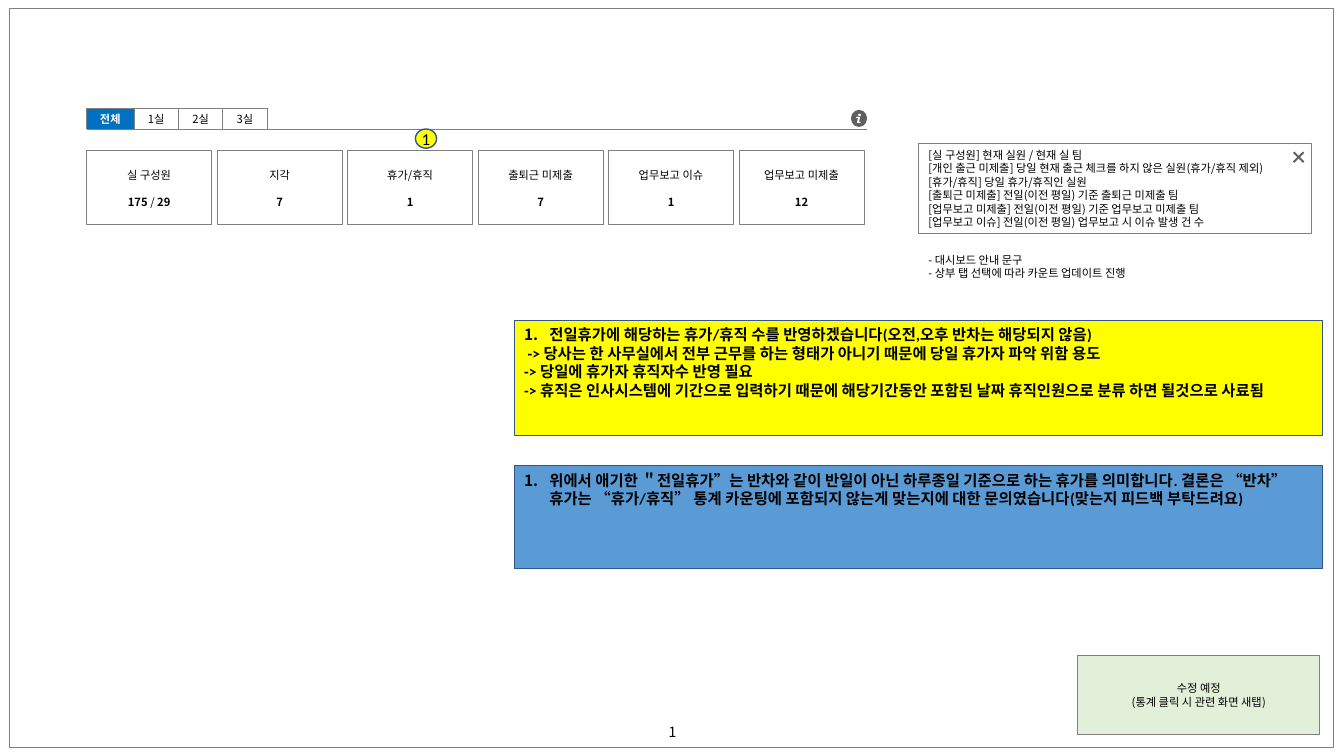
from dataclasses import dataclass
from typing import Optional

from lxml.etree import SubElement
from pptx import Presentation
from pptx.dml.color import RGBColor
from pptx.enum.shapes import MSO_CONNECTOR, MSO_SHAPE
from pptx.enum.text import MSO_ANCHOR, PP_ALIGN
from pptx.oxml.ns import qn
from pptx.util import Inches, Pt

COLORS = {
    "black": "000000", "white": "FFFFFF", "gray": "808080", "icon": "5F5F5F",
    "tab": "0070C0", "yellow": "FFFF00", "blue": "5B9BD5",
    "green": "E2F0D9", "navy": "325491",
}
KOREAN, LATIN = "Noto Sans CJK KR", "Calibri"


@dataclass
class Box:
    left: float
    top: float
    width: float
    height: float
    fill: Optional[str] = "white"
    line: Optional[str] = "gray"
    weight: float = 0.5
    kind: MSO_SHAPE = MSO_SHAPE.RECTANGLE


@dataclass
class TextStyle:
    size: float = 8
    font: str = KOREAN
    color: str = "black"
    bold: bool = False
    align: PP_ALIGN = PP_ALIGN.CENTER
    anchor: MSO_ANCHOR = MSO_ANCHOR.MIDDLE


@dataclass
class Tab:
    label: str
    width: float = 0.44
    fill: str = "white"
    color: str = "black"
    bold: bool = False


def rgb(name: str) -> RGBColor:
    return RGBColor.from_string(COLORS[name])


def paint(sp, fill: Optional[str], line: Optional[str], weight: float = 0.5) -> None:
    sp.shadow.inherit = False
    if fill:
        sp.fill.solid()
        sp.fill.fore_color.rgb = rgb(fill)
    else:
        sp.fill.background()
    if line:
        sp.line.color.rgb = rgb(line)
        sp.line.width = Pt(weight)
    else:
        sp.line.fill.background()


def draw_box(s, box: Box):
    sp = s.shapes.add_shape(box.kind, Inches(box.left), Inches(box.top),
                            Inches(box.width), Inches(box.height))
    paint(sp, box.fill, box.line, box.weight)
    return sp


def draw_outline(s, points: list, closed: bool):
    corners = [(Inches(x), Inches(y)) for x, y in points]
    builder = s.shapes.build_freeform(*corners[0], scale=1.0)
    builder.add_line_segments(corners[1:], close=closed)
    return builder.convert_to_shape()


def format_run(r, style: TextStyle, bold: bool) -> None:
    r.font.size = Pt(style.size)
    r.font.name = style.font
    r.font.bold = bold
    r.font.color.rgb = rgb(style.color)
    SubElement(r.font._element, qn("a:ea")).set("typeface", KOREAN)


def write(sp, lines: list[str], style: TextStyle):
    tf = sp.text_frame
    tf.word_wrap = True
    tf.vertical_anchor = style.anchor
    tf.text = "\n".join(lines)
    for p in tf.paragraphs:
        p.alignment = style.align
        p.line_spacing = Pt(style.size * 1.2)
        for r in p.runs:
            format_run(r, style, style.bold)
    return tf


def number(p) -> None:
    props = p._p.get_or_add_pPr()
    props.set("marL", str(Inches(0.25)))
    props.set("indent", str(-Inches(0.25)))
    SubElement(props, qn("a:buFont")).set("typeface", LATIN)
    SubElement(props, qn("a:buAutoNum")).set("type", "arabicPeriod")


CENTERED = TextStyle()
CARD = TextStyle(anchor=MSO_ANCHOR.TOP)
GUIDE = TextStyle(align=PP_ALIGN.LEFT, anchor=MSO_ANCHOR.TOP)
COMMENT = TextStyle(11, LATIN, bold=True, align=PP_ALIGN.LEFT, anchor=MSO_ANCHOR.TOP)

TABS = [Tab("전체", 0.47, "tab", "white", True), Tab("1실"), Tab("2실"), Tab("3실")]
CARDS = [
    ("실 구성원", ["175 ", "/", " 29"]), ("지각", ["7"]), ("휴가/휴직", ["1"]),
    ("출퇴근 미제출", ["7"]), ("업무보고 이슈", ["1"]), ("업무보고 미제출", ["12"]),
]
GUIDE_LINES = [
    "[실 구성원] 현재 실원 / 현재 실 팀",
    "[개인 출근 미제출] 당일 현재 출근 체크를 하지 않은 실원(휴가/휴직 제외)",
    "[휴가/휴직] 당일 휴가/휴직인 실원",
    "[출퇴근 미제출] 전일(이전 평일) 기준 출퇴근 미제출 팀",
    "[업무보고 미제출] 전일(이전 평일) 기준 업무보고 미제출 팀",
    "[업무보고 이슈] 전일(이전 평일) 업무보고 시 이슈 발생 건 수",
]
COMMENTS = [
    (Box(5.1, 3.18, 8.02, 1.14, "yellow", "navy", 1), [
        "전일휴가에 해당하는 휴가/휴직 수를 반영하겠습니다(오전,오후 반차는 해당되지 않음)",
        " -> 당사는 한 사무실에서 전부 근무를 하는 형태가 아니기 때문에 당일 휴가자 파악 위함 용도",
        "-> 당일에 휴가자 휴직자수 반영 필요",
        "-> 휴직은 인사시스템에 기간으로 입력하기 때문에 해당기간동안 포함된 날짜 "
        "휴직인원으로 분류 하면 될것으로 사료됨",
    ]),
    (Box(5.1, 4.62, 8.02, 1.02, "blue", "navy", 1), [
        "위에서 애기한 ＂전일휴가”는 반차와 같이 반일이 아닌 하루종일 기준으로 하는 휴가를 "
        "의미합니다. 결론은 “반차” 휴가는 “휴가/휴직” 통계 카운팅에 포함되지 않는게 맞는지에 "
        "대한 문의였습니다(맞는지 피드백 부탁드려요)",
    ]),
]
INFO_STEM = [(8.49, 1.16), (8.53, 1.16), (8.52, 1.21), (8.54, 1.21),
             (8.53, 1.22), (8.5, 1.22), (8.51, 1.17), (8.49, 1.17)]


def draw_tabs(s) -> None:
    left, top, bottom = 0.86, 1.08, 1.28
    for tab in TABS:
        right = left + tab.width
        sp = draw_outline(s, [(left, bottom), (left, top), (right, top), (right, bottom)], False)
        paint(sp, tab.fill, "gray")
        tf = write(sp, [tab.label], TextStyle(color=tab.color, bold=tab.bold))
        tf.margin_left = tf.margin_right = tf.margin_top = tf.margin_bottom = 0
        left = right
    rule = s.shapes.add_connector(MSO_CONNECTOR.STRAIGHT, Inches(0.86), Inches(bottom),
                                  Inches(8.6), Inches(bottom))
    rule.line.color.rgb = rgb("gray")
    rule.line.width = Pt(0.5)
    SubElement(rule._element.spPr, qn("a:effectLst"))


def draw_cards(s) -> None:
    pitch = (7.33 - 0.86) / (len(CARDS) - 1)
    for i, (label, counts) in enumerate(CARDS):
        tf = write(draw_box(s, Box(0.86 + i * pitch, 1.49, 1.24, 0.74)), [label, ""], CARD)
        tf.margin_top = Inches(0.18)
        p = tf.paragraphs[1]
        p.space_before = Pt(9.6)
        for count in counts:
            r = p.add_run()
            r.text = count
            format_run(r, CARD, count != "/")


def draw_guide(s) -> None:
    write(draw_box(s, Box(9.11, 1.42, 3.9, 0.9)), GUIDE_LINES, GUIDE)
    close = draw_box(s, Box(12.81, 1.49, 0.14, 0.14, "icon", None, kind=MSO_SHAPE.CROSS))
    close.adjustments[0] = 0.43
    close.rotation = 45
    caption = s.shapes.add_textbox(Inches(9.11), Inches(2.46), Inches(3.58), Inches(0.37))
    write(caption, ["- 대시보드 안내 문구", "- 상부 탭 선택에 따라 카운트 업데이트 진행"], GUIDE)


def draw_info_icon(s) -> None:
    draw_box(s, Box(8.44, 1.09, 0.16, 0.17, "icon", None, kind=MSO_SHAPE.OVAL))
    draw_box(s, Box(8.51, 1.13, 0.03, 0.02, "white", None, kind=MSO_SHAPE.OVAL))
    paint(draw_outline(s, INFO_STEM, True), "white", None)


def main() -> None:
    prs = Presentation()
    prs.slide_width, prs.slide_height = Inches(13.33), Inches(7.5)
    s = prs.slides.add_slide(prs.slide_layouts[6])

    # Page frame and number
    draw_box(s, Box(0.09, 0.08, 13.13, 7.33, None, weight=0.25))
    page = s.shapes.add_textbox(Inches(6.33), Inches(7.13), Inches(0.68), Inches(0.27))
    write(page, ["1"], TextStyle(10))

    # Dashboard
    draw_tabs(s)
    draw_cards(s)
    draw_guide(s)
    draw_info_icon(s)

    # Review notes
    write(draw_box(s, Box(10.69, 6.5, 2.4, 0.79, "green")),
          ["수정 예정", "(통계 클릭 시 관련 화면 새탭)"], CENTERED)
    marker = Box(4.12, 1.28, 0.21, 0.19, "yellow", "navy", 1, MSO_SHAPE.OVAL)
    write(draw_box(s, marker), ["1"], TextStyle(12, LATIN)).word_wrap = False
    for box, lines in COMMENTS:
        number(write(draw_box(s, box), lines, COMMENT).paragraphs[0])

    prs.save("out.pptx")


if __name__ == "__main__":
    main()
